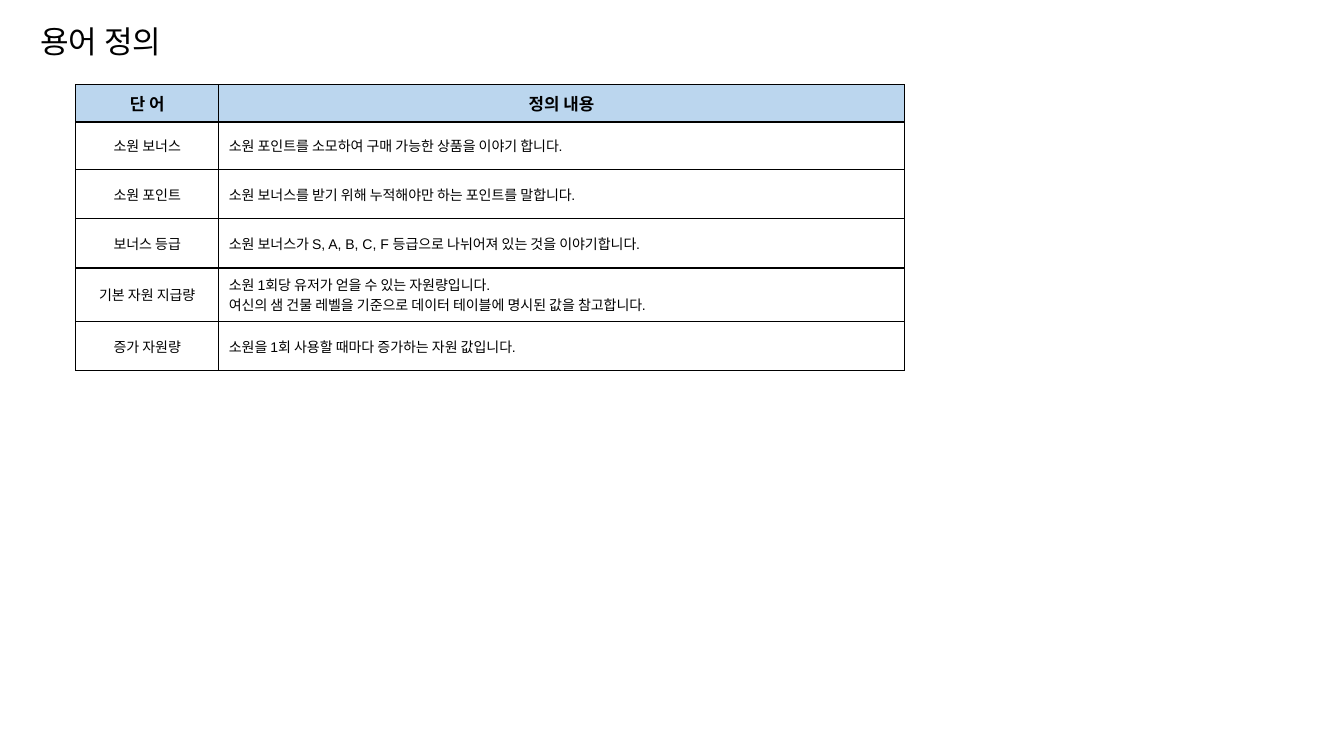
from dataclasses import dataclass

from lxml.etree import SubElement
from pptx import Presentation
from pptx.dml.color import RGBColor
from pptx.enum.text import MSO_ANCHOR as Anchor, MSO_AUTO_SIZE as AutoSize, PP_ALIGN as Align
from pptx.oxml.ns import qn
from pptx.util import Inches, Pt

SLIDE_WIDTH, SLIDE_HEIGHT = 13.33, 7.5
FONT = "Arial"
BLACK, WHITE, HEADER_BLUE = "000000", "FFFFFF", "BBD6EE"
TABLE_LEFT, TABLE_TOP = 0.75, 0.84
COLUMN_WIDTHS = (1.42, 6.8)


@dataclass
class Term:
    word: str
    meaning: str
    height: float
    is_header: bool = False


# A vertical tab stands for a line break inside a paragraph
TERMS = [
    Term("단 어", "정의 내용", 0.37, is_header=True),
    Term("소원 보너스", "소원 포인트를 소모하여 구매 가능한 상품을 이야기 합니다.", 0.47),
    Term("소원 포인트", "소원 보너스를 받기 위해 누적해야만 하는 포인트를 말합니다.", 0.49),
    Term("보너스 등급", "소원 보너스가 S, A, B, C, F 등급으로 나뉘어져 있는 것을 이야기합니다.", 0.49),
    Term("기본 자원 지급량", "소원 1회당 유저가 얻을 수 있는 자원량입니다.\v"
         "여신의 샘 건물 레벨을 기준으로 데이터 테이블에 명시된 값을 참고합니다.", 0.53),
    Term("증가 자원량", "소원을 1회 사용할 때마다 증가하는 자원 값입니다.", 0.49),
]


def color(value: str) -> RGBColor:
    return RGBColor.from_string(value)


def write(frame, text: str, size: float, align: Align, bold: bool = False) -> None:
    frame.text = text
    para = frame.paragraphs[0]
    para.alignment = align
    para.font.name = FONT
    para.font.size = Pt(size)
    para.font.bold = bold
    para.font.color.rgb = color(BLACK)


def add_borders(cell, width: float = 1) -> None:
    properties = cell._tc.get_or_add_tcPr()
    for index, side in enumerate(("lnL", "lnR", "lnT", "lnB")):
        line = properties.makeelement(qn(f"a:{side}"), {"w": str(Pt(width))})
        fill = SubElement(line, qn("a:solidFill"))
        SubElement(fill, qn("a:srgbClr"), val=BLACK)
        properties.insert(index, line)


def add_title(page, text: str) -> None:
    title = page.shapes.title
    title.left, title.top = Inches(0.3), Inches(0.01)
    title.width, title.height = Inches(6.49), Inches(0.64)
    frame = title.text_frame
    frame.auto_size = AutoSize.NONE
    frame.vertical_anchor = Anchor.MIDDLE
    write(frame, text, 22.2, Align.LEFT)
    frame.paragraphs[0].line_spacing = 1.4


def add_term_table(page, terms: list[Term]) -> None:
    table = page.shapes.add_table(
        len(terms), len(COLUMN_WIDTHS), Inches(TABLE_LEFT), Inches(TABLE_TOP),
        Inches(sum(COLUMN_WIDTHS)), Inches(sum(term.height for term in terms))).table
    for column, width in zip(table.columns, COLUMN_WIDTHS):
        column.width = Inches(width)

    for row, term in zip(table.rows, terms):
        row.height = Inches(term.height)
        meaning_align = Align.CENTER if term.is_header else Align.LEFT
        contents = ((term.word, Align.CENTER), (term.meaning, meaning_align))
        for cell, (text, align) in zip(row.cells, contents):
            cell.vertical_anchor = Anchor.MIDDLE
            cell.fill.solid()
            cell.fill.fore_color.rgb = color(HEADER_BLUE if term.is_header else WHITE)
            add_borders(cell)
            write(cell.text_frame, text, 12 if term.is_header else 10, align, term.is_header)


def main() -> None:
    deck = Presentation()
    deck.slide_width, deck.slide_height = Inches(SLIDE_WIDTH), Inches(SLIDE_HEIGHT)
    page = deck.slides.add_slide(deck.slide_layouts.get_by_name("Title Only"))

    # Heading and glossary
    add_title(page, "용어 정의")
    add_term_table(page, TERMS)

    deck.save("out.pptx")


if __name__ == "__main__":
    main()
